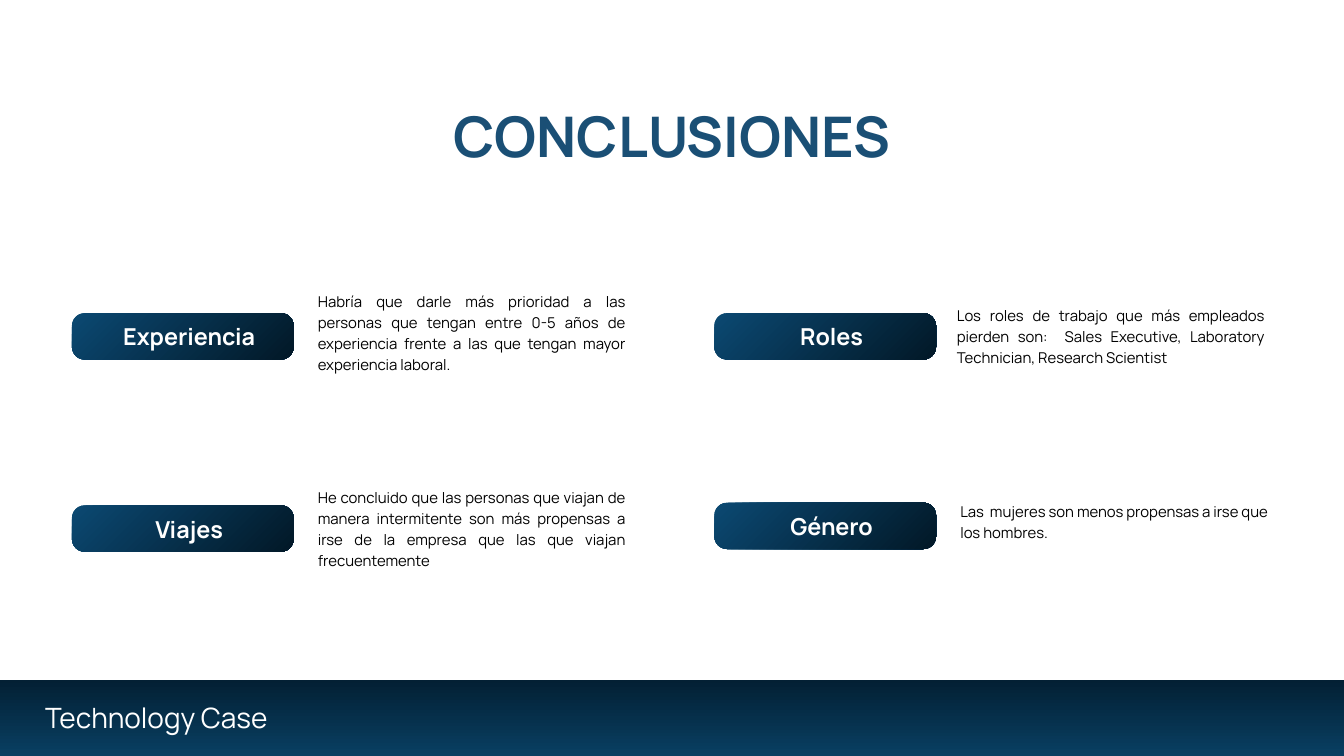
from pptx import Presentation
from pptx.dml.color import RGBColor
from pptx.enum.shapes import MSO_SHAPE
from pptx.enum.text import MSO_ANCHOR, MSO_AUTO_SIZE, PP_ALIGN
from pptx.util import Inches, Pt

TITLE = "CONCLUSIONES"
FOOTER = "Technology Case"
CONCLUSIONS = [
    {"topic": "Experiencia", "pill": (1.07, 4.66), "detail": (4.73, 4.31, 1.22),
     "finding": "Habría que darle más prioridad a las personas que tengan entre 0-5 años "
                "de experiencia frente a las que tengan mayor experiencia laboral."},
    {"topic": "Viajes", "pill": (1.07, 7.52), "detail": (4.73, 7.23, 1.22),
     "finding": "He concluido que las personas que viajan de manera intermitente son más "
                "propensas a irse de la empresa que las que viajan frecuentemente"},
    {"topic": "Roles", "pill": (10.63, 4.66), "detail": (14.24, 4.52, 0.91),
     "finding": "Los roles de trabajo que más empleados pierden son:  Sales Executive, "
                "Laboratory Technician, Research Scientist"},
    {"topic": "Género", "pill": (10.63, 7.48), "detail": (14.29, 7.43, 0.61),
     "finding": "Las  mujeres son menos propensas a irse que los hombres."},
]

FONT = "Manrope"
LEADING = 1.4
TITLE_BLUE = RGBColor(0x1A, 0x4F, 0x75)
PILL_BLUE = RGBColor(0x0B, 0x49, 0x72)
PILL_NAVY = RGBColor(0x02, 0x18, 0x27)
BAND_NAVY = RGBColor(0x03, 0x20, 0x34)
BAND_BLUE = RGBColor(0x09, 0x3F, 0x62)
WHITE = RGBColor(0xFF, 0xFF, 0xFF)
BLACK = RGBColor(0, 0, 0)

SLIDE_W, SLIDE_H = 20, 11.25
PILL_W, PILL_H, PILL_RADIUS = 3.3, 0.69, 0.19
BAND_TOP = 10.12


def write(box, text, size, color, align, bold=False):
    frame = box.text_frame
    frame.word_wrap = True
    frame.auto_size = MSO_AUTO_SIZE.NONE
    frame.vertical_anchor = MSO_ANCHOR.TOP
    frame.margin_left = frame.margin_right = frame.margin_top = frame.margin_bottom = 0
    paragraph = frame.paragraphs[0]
    paragraph.text = text
    paragraph.alignment = align
    paragraph.line_spacing = Pt(size * LEADING)
    paragraph.space_before = Pt(0)
    paragraph.font.name = FONT
    paragraph.font.size = Pt(size)
    paragraph.font.bold = bold
    paragraph.font.color.rgb = color


def add_text(slide, place, *style, **options):
    write(slide.shapes.add_textbox(*map(Inches, place)), *style, **options)


def add_gradient(slide, kind, place, start, end, angle):
    shape = slide.shapes.add_shape(kind, *map(Inches, place))
    shape.shadow.inherit = False
    shape.line.fill.background()
    shape.fill.gradient()
    shape.fill.gradient_angle = angle
    for stop, color in zip(shape.fill.gradient_stops, (start, end)):
        stop.color.rgb = color
    return shape


def main():
    prs = Presentation()
    prs.slide_width, prs.slide_height = Inches(SLIDE_W), Inches(SLIDE_H)
    slide = prs.slides.add_slide(prs.slide_layouts[5])
    slide.background.fill.solid()
    slide.background.fill.fore_color.rgb = WHITE

    title = slide.shapes.title
    title.left, title.top, title.width, title.height = map(Inches, (3.62, 1.35, 12.76, 1.2))
    write(title, TITLE, 60, TITLE_BLUE, PP_ALIGN.CENTER, bold=True)

    for item in CONCLUSIONS:
        left, top = item["pill"]
        pill = add_gradient(slide, MSO_SHAPE.ROUNDED_RECTANGLE, (left, top, PILL_W, PILL_H),
                            PILL_BLUE, PILL_NAVY, 315)
        pill.adjustments[0] = PILL_RADIUS / PILL_H
        add_text(slide, (left + 0.31, top + 0.07, 2.87, 0.48),
                 item["topic"], 25, WHITE, PP_ALIGN.CENTER, bold=True)
        left, top, height = item["detail"]
        add_text(slide, (left, top, 4.58, height),
                 item["finding"], 16, BLACK, PP_ALIGN.JUSTIFY)

    add_gradient(slide, MSO_SHAPE.RECTANGLE, (0, BAND_TOP, SLIDE_W, SLIDE_H - BAND_TOP),
                 BAND_NAVY, BAND_BLUE, 270)
    add_text(slide, (0.67, 10.34, 6.1, 0.56), FOOTER, 30, WHITE, PP_ALIGN.LEFT)
    prs.save("out.pptx")


if __name__ == "__main__":
    main()
